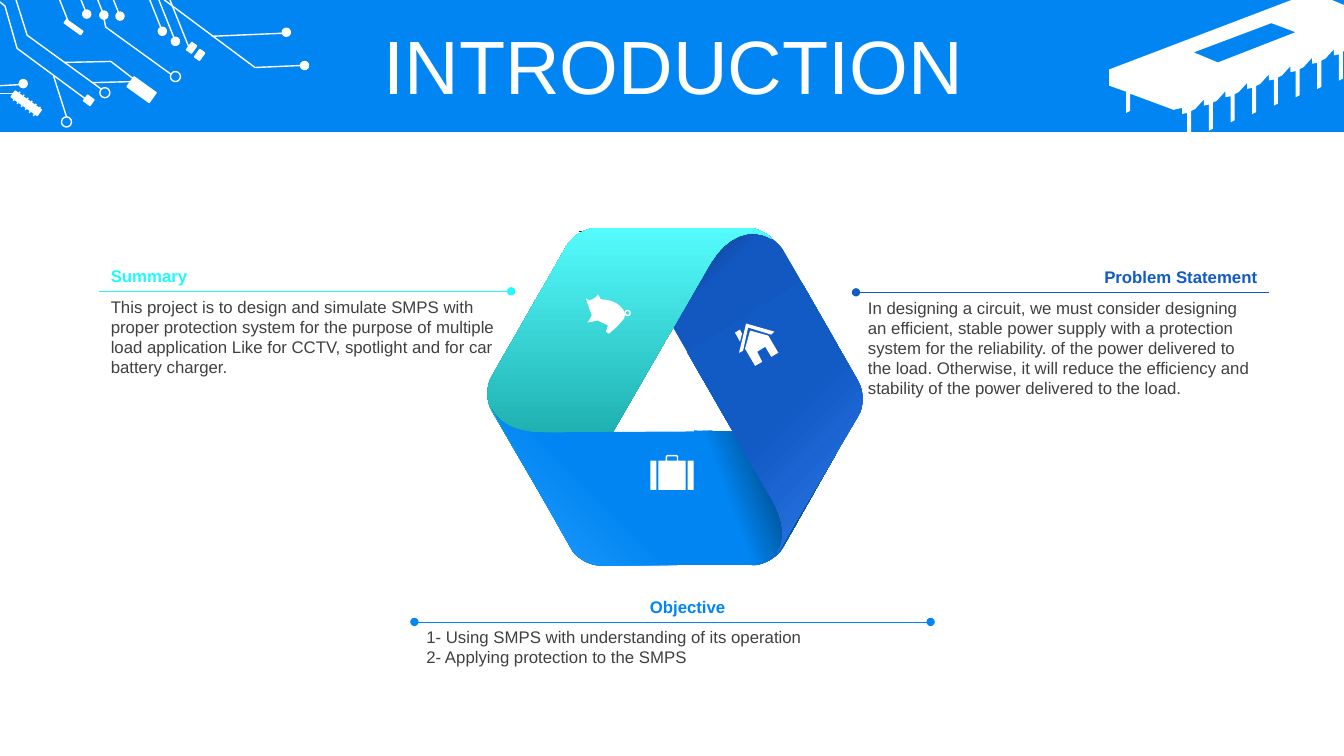
from lxml import etree
from pptx import Presentation
from pptx import util as u
from pptx.dml.color import RGBColor
from pptx.enum import shapes as es, text as et
from pptx.oxml.ns import qn

WHITE, BLUE, NAVY, CYAN, GREY = "FFFFFF", "0085F2", "125AC4", "1FFBFD", "404040"
TILT, WIDE, HIGH = 35.7, 13.33, 7.5
LEFT, MID, RIGHT = et.PP_ALIGN.LEFT, et.PP_ALIGN.CENTER, et.PP_ALIGN.RIGHT
RECT, OVAL, ROUND = es.MSO_SHAPE.RECTANGLE, es.MSO_SHAPE.OVAL, es.MSO_SHAPE.ROUNDED_RECTANGLE

NOTES = [
    ("Problem Statement", NAVY, RIGHT, (8.51, 2.9, 4.06, 1.11), 0, ["headEnd"],
     ["In designing a circuit, we must consider designing an efficient, stable power supply with a protection system for the reliability. of the power delivered to the load. Otherwise, it will reduce the efficiency and stability of the power delivered to the load."]),
    ("Summary", CYAN, LEFT, (1, 2.89, 4.05, 0.91), 0, ["tailEnd"],
     ["This project is to design and simulate SMPS with proper protection system for the purpose of multiple load application Like for CCTV, spotlight and for car battery charger."]),
    ("Objective", BLUE, MID, (4.13, 6.17, 5.08, 0.71), 0.15, ["headEnd", "tailEnd"],
     ["1- Using SMPS with understanding of its operation", "2- Applying protection to the SMPS"]),
]

BARS = [(1.27, 0.83, 0.27, 0.12), (0.63, 0.25, 0.2, 0.04), (0.84, 0.96, 0.08, 0.07),
        (1.87, 0.43, 0.06, 0.09), (1.95, 0.5, 0.06, 0.09), (0.1, 0.99, 0.32, 0.07)]
HUNG = [(0.86, 0.14), (1.03, 0.15), (1.19, 0.16), (1.61, 0.31), (1.74, 0.41)]
DOTS = HUNG + [(3.02, 0.65), (2.84, 0.32), (0.23, 0.83)]
RINGS = [(1.74, 0.76), (1.04, 0.92), (0.66, 1.21)]
TRACES = [
    [(1.63, 0), (2.53, 0.67), (2.99, 0.65)],
    [(0.16, 0), (0.27, 0.35), (1, 0.88)],
    [(0, 0.02), (0.05, 0.06), (0.17, 0.48), (0.86, 0.99)],
    [(0.64, 0.62), (1.1, 0.61), (1.32, 0.78)],
    [(1.03, 0.18), (1.05, 0.27), (1.7, 0.74)],
    [(2.1, 0.36), (2.8, 0.33)], [(0, 0.85), (0.19, 0.84)], [(0, 0.93), (0.14, 0.93)],
    [(0.53, 0.75), (0.66, 1.16)], [(0.92, 0.82), (1.3, 0.81)],
]
TRACES += [[(x - 0.4 * y, 0), (x, y)] for x, y in HUNG + [(0.68, 0.22), (1.87, 0.46)]]
TRACES += [[(0.13 + 0.04 * i, 1 + 0.03 * i), (0.2 + 0.04 * i, 0.91 + 0.03 * i)] for i in range(6)]

PIN = [(0, 0), (0.04, 0.02), (0.04, 0.28), (0.08, 0.3), (0.08, 0.04), (0.13, 0.05), (0.13, -0.01)]
PINS = [(min(WIDE, 13.36 - 0.215 * i - x), 0.5 + 0.083 * i + y) for i in range(8) for x, y in PIN]
CHIP = [
    [(12.61, 0.23), (11.84, 0.52), (12.08, 0.62), (12.85, 0.32)],
    [(12.81, 0), (13.21, 0), (WIDE, 0.05), *PINS, (11.64, 1.09), (11.21, 0.93),
     (11.21, 1.1), (11.17, 1.12), (11.17, 0.91), (11, 0.85), (11, 0.69)],
]

BANDS = [
    ([(5.75, 2.3), (7.46, 2.3), (7.57, 2.3, 7.7, 2.38, 7.76, 2.47), (8.31, 3.42),
      (7.19, 4.14), (6.34, 2.66)],
     225, [(0, NAVY), (59, "1258C0"), (88, "061F45")]),
    ([(6.88, 4.27), (7.48, 4.29), (8.31, 4.47), (7.76, 5.44),
      (7.7, 5.54, 7.56, 5.61, 7.45, 5.61), (6.88, 5.61)],
     340, [(0, BLUE), (30, BLUE), (62, "004C8A")]),
    ([(4.88, 4.08), (5.66, 5.42), (5.59, 5.29, 5.61, 5.11, 5.72, 4.91), (7.04, 2.62),
      (7.21, 2.33, 7.45, 2.25, 7.66, 2.37), (7.6, 2.31, 7.5, 2.26, 7.41, 2.26), (5.93, 2.26),
      (5.81, 2.26, 5.68, 2.34, 5.62, 2.44), (4.88, 3.73), (4.82, 3.83, 4.82, 3.98, 4.88, 4.08)],
     270, [(0, "018687"), (100, "55FCFD")]),
    ([(4.88, 4.06), (4.95, 4.2, 5.12, 4.29, 5.36, 4.29), (7, 4.28), (7, 5.61), (5.95, 5.61),
      (5.86, 5.61, 5.74, 5.55, 5.68, 5.47)],
     135, [(0, BLUE), (50, BLUE), (100, "2BA0FF")]),
    ([(7.95, 2.8), (8.51, 3.78), (8.57, 3.88, 8.57, 4.04, 8.51, 4.13), (7.71, 5.49),
      (7.79, 5.36, 7.78, 5.17, 7.66, 4.96), (6.82, 3.5)],
     225, [(0, "2E7BEC"), (50, NAVY), (100, NAVY)]),
]

HOUSE = [
    [(7.44, 3.28), (7.62, 3.33), (7.72, 3.5), (7.65, 3.54), (7.59, 3.44), (7.51, 3.49),
     (7.56, 3.59), (7.49, 3.63), (7.39, 3.46)],
    [(7.29, 3.3), (7.34, 3.27), (7.36, 3.31), (7.34, 3.39)],
    [(7.4, 3.21), (7.68, 3.29), (7.65, 3.32), (7.42, 3.25), (7.37, 3.48), (7.33, 3.5)],
]
PIG = [[(5.81, 2.96), (5.85, 2.98), (5.91, 2.95), (5.93, 2.92), (5.96, 2.97),
        (6.08, 2.97, 6.18, 3.03, 6.2, 3.12), (6.19, 3.16), (6.12, 3.24), (6.04, 3.31),
        (6.01, 3.29), (6.03, 3.23), (5.93, 3.18), (5.83, 3.2), (5.87, 3.13)]]
CASE = [(6.45, 4.57, 0.06, 0.29), (6.53, 4.57, 0.27, 0.29), (6.82, 4.57, 0.06, 0.29)]

deck = Presentation()
deck.slide_width, deck.slide_height = u.Inches(WIDE), u.Inches(HIGH)
page = deck.slides.add_slide(deck.slide_layouts[5])
tree = page.shapes


def rgb(code):
    return RGBColor.from_string(code)


def inch(vals):
    return [u.Inches(v) for v in vals]


def paint(shape, fill=None, line=None):
    shape.shadow.inherit = False
    if fill:
        shape.fill.solid()
        shape.fill.fore_color.rgb = rgb(fill)
    else:
        shape.fill.background()
    if line:
        shape.line.color.rgb, shape.line.width = rgb(line), u.Pt(1)
    else:
        shape.line.fill.background()


def block(kind, box, fill=None, line=None, turn=0):
    shape = tree.add_shape(kind, *inch(box))
    shape.rotation = turn
    paint(shape, fill, line)


def flat(loop):
    pts = [loop[0]]
    for step in loop[1:]:
        if len(step) == 2:
            pts.append(step)
            continue
        ctrl = [pts[-1], step[:2], step[2:4], step[4:]]
        for t in (i / 8 for i in range(1, 9)):
            mix = ((1 - t) ** 3, 3 * t * (1 - t) ** 2, 3 * t * t * (1 - t), t ** 3)
            pts.append(tuple(sum(m * c[a] for m, c in zip(mix, ctrl)) for a in (0, 1)))
    return [inch(p) for p in pts]


def outline(loops, fill=None, line=None):
    loops = [flat(loop) for loop in loops]
    pen = tree.build_freeform(*loops[0][0], scale=1.0)
    for i, loop in enumerate(loops):
        if i:
            pen.move_to(*loop[0])
        pen.add_line_segments(loop[1:], close=bool(fill))
    shape = pen.convert_to_shape()
    paint(shape, fill, line)
    return shape


def rule(ends, color, width, tips=()):
    wire = tree.add_connector(es.MSO_CONNECTOR.STRAIGHT, *inch(ends[0] + ends[1]))
    wire.line.color.rgb, wire.line.width = rgb(color), u.Pt(width)
    edge = wire._element.spPr.find(qn("a:ln"))
    for tip in tips:
        etree.SubElement(edge, qn("a:" + tip)).set("type", "oval")
    etree.SubElement(wire._element.spPr, qn("a:effectLst"))


def blend(shape, angle, stops):
    shape.fill.gradient()
    shape.fill.gradient_angle = 360 - angle
    grad = shape._element.spPr.find(qn("a:gradFill")).find(qn("a:gsLst"))
    for old in list(grad):
        grad.remove(old)
    for pos, color in stops:
        stop = etree.SubElement(grad, qn("a:gs"), pos=str(pos * 1000))
        etree.SubElement(stop, qn("a:srgbClr"), val=color)


def style(para, size, color, align, bold=False):
    font = para.font
    font.name, font.size, font.bold = "Arial", u.Pt(size), bold
    font.color.rgb, para.alignment = rgb(color), align


def write(box, lines, color, align, bold=False):
    frame = tree.add_textbox(*inch(box)).text_frame
    frame.word_wrap, frame.auto_size = True, et.MSO_AUTO_SIZE.SHAPE_TO_FIT_TEXT
    frame.text = "\n".join(lines)
    for para in frame.paragraphs:
        style(para, 12, color, align, bold)


block(RECT, (0, 0, WIDE, 1.31), BLUE)
outline(CHIP, WHITE)
for box in BARS:
    block(RECT, box, WHITE, WHITE, TILT)
for spots, size, fill in [(DOTS, 0.08, WHITE), (RINGS, 0.1, None)]:
    for x, y in spots:
        block(OVAL, (x - size / 2, y - size / 2, size, size), fill, WHITE, TILT)
for trace in TRACES:
    if len(trace) == 2:
        rule(trace, WHITE, 1)
    else:
        outline([trace], line=WHITE)

title = tree.title
title.left, title.top, title.width, title.height = inch((0.35, 0.3, 12.66, 0.79))
title.text_frame.text = "INTRODUCTION"
title.text_frame.vertical_anchor = et.MSO_ANCHOR.MIDDLE
head = title.text_frame.paragraphs[0]
style(head, 54, WHITE, MID)
head.line_spacing, head.space_before = 0.9, u.Pt(10)
tree._spTree.append(title._element)

for loop, angle, stops in BANDS:
    blend(outline([loop], BLUE), angle, stops)
for name, color, align, body, shift, tips, lines in NOTES:
    x, y, w, h = body
    write(body, lines, GREY, LEFT)
    write((x + shift, y - 0.3, w, 0.3), [name], color, align, True)
    rule([(x - 0.02, y), (x + w + 0.02, y)], color, 0.5, tips)
outline(HOUSE, WHITE)
outline(PIG, WHITE)
block(OVAL, (6.2, 3.08, 0.05, 0.05), None, WHITE)
for box in CASE:
    block(RECT, box, WHITE)
block(ROUND, (6.61, 4.52, 0.11, 0.08), None, WHITE)

deck.save("out.pptx")
